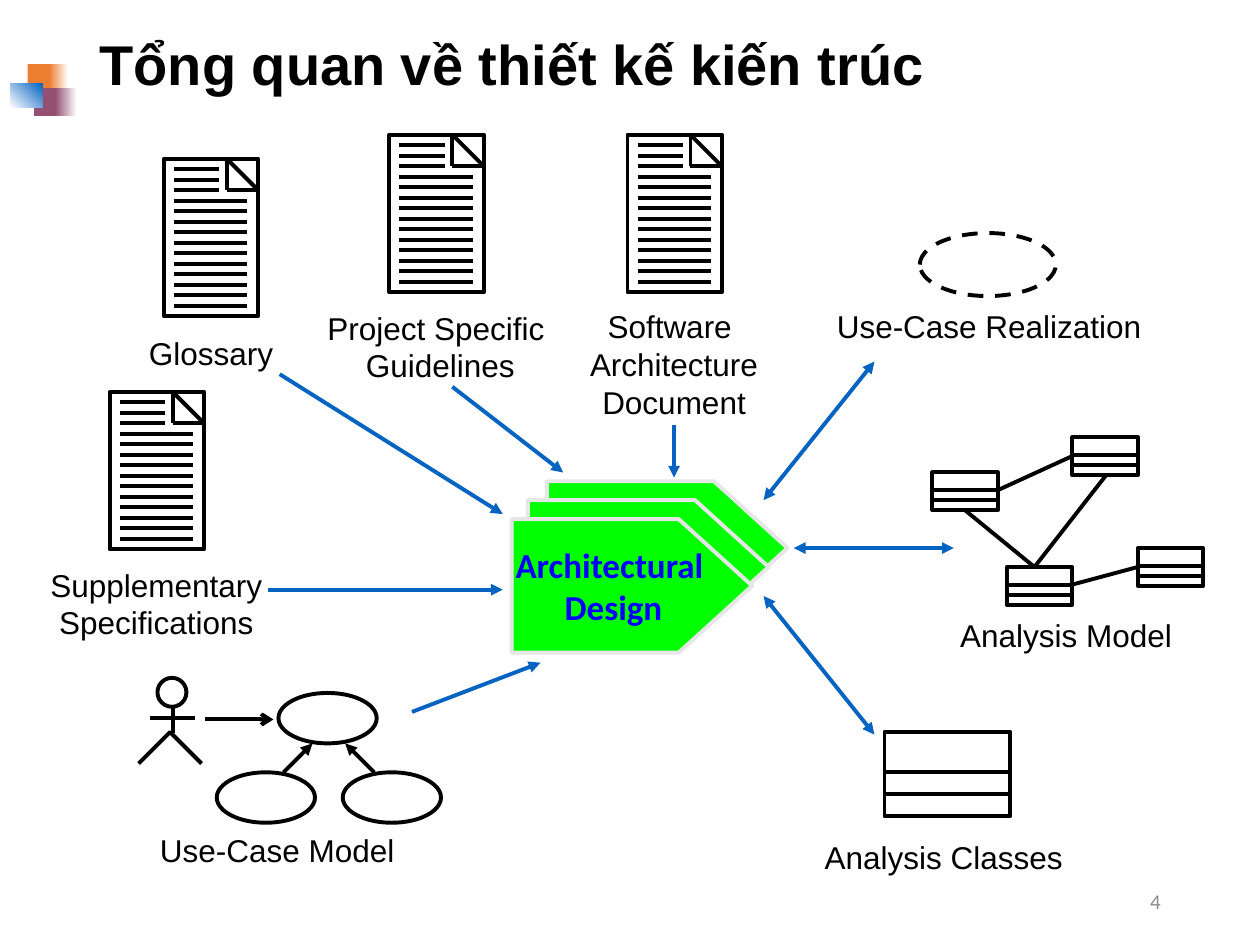
from lxml import etree
from pptx import Presentation
from pptx.dml.color import RGBColor
from pptx.enum import dml, shapes, text
from pptx.oxml.ns import qn
from pptx.util import Inches, Pt

THEME = {
    "black": "000000", "flow": "0563C1", "plate": "00FF00", "plate_edge": "E7E6E6",
    "plate_text": "0000FF", "muted": "8C8C8C", "white": "FFFFFF",
    "orange": "ED7D31", "plum": "954F72",
    "sans": "Arial", "body": "Calibri",
    "title": 32, "label": 18, "core": 20, "number": 12, "stroke": 2.25,
}
TITLE = "Tổng quan về thiết kế kiến trúc"
SLIDE_NUMBER = "4"
CORE = ["Architectural ", "Design"]

ORNAMENT = [
    (0.22, 0.51, 0.2, 0.22, ["orange"], 0),
    (0.39, 0.51, 0.15, 0.22, ["orange", "white"], 0),
    (0.27, 0.7, 0.19, 0.22, ["plum"], 0),
    (0.44, 0.7, 0.17, 0.22, ["plum", "white"], 0),
    (0.08, 0.66, 0.26, 0.19, ["white", "flow"], 45),
]
DOCUMENTS = [(0.87, 3.11), (1.3, 1.26), (3.09, 1.07), (4.98, 1.07)]
LABELS = [
    (["Supplementary", "Specifications"], 0.3, 4.44, 1.88, 0.7),
    (["Glossary"], 1.08, 2.6, 1.19, 0.4),
    (["Project Specific", " Guidelines"], 2.5, 2.4, 1.92, 0.7),
    (["Software ", "Architecture", "Document"], 4.55, 2.39, 1.6, 1),
    (["Use-Case Realization"], 6.54, 2.39, 2.62, 0.4),
    (["Analysis Model"], 7.52, 4.84, 1.88, 0.4),
    (["Use-Case Model"], 1.17, 6.55, 2.06, 0.4),
    (["Analysis Classes"], 6.44, 6.6, 2.1, 0.4),
]
PLATES = [(4.34, 3.82), (4.19, 3.97), (4.06, 4.12)]
MODEL_CLASSES = [(7.4, 3.75), (8.51, 3.47), (7.99, 4.5), (9.03, 4.35)]
MODEL_LINKS = [
    (8.21, 4.5, 7.66, 4.05), (7.92, 3.89, 8.51, 3.62),
    (8.51, 4.64, 9.03, 4.5), (8.21, 4.5, 8.78, 3.77),
]
USE_CASES = [(2.21, 5.5), (1.72, 6.13), (2.72, 6.13)]
USE_CASE_LINKS = [
    (1.63, 5.71, 2.17, 5.71, "arrow"),
    (2.25, 6.13, 2.48, 5.9, "triangle"),
    (2.97, 6.13, 2.74, 5.9, "triangle"),
]
INPUTS = [
    (5.35, 3.37, 5.35, 3.79), (3.59, 3.07, 4.47, 3.75), (2.22, 2.97, 3.99, 4.08),
    (2.13, 4.68, 3.99, 4.68), (3.27, 5.65, 4.29, 5.26),
]
EXCHANGES = [(6.06, 3.97, 6.94, 2.87), (6.3, 4.35, 7.57, 4.35), (6.06, 4.73, 6.94, 5.83)]

SHAPE = shapes.MSO_SHAPE
CENTER = text.PP_ALIGN.CENTER


def color(name):
    return RGBColor.from_string(THEME[name])


def outline(part, name):
    part.line.color.rgb = color(name)
    part.line.width = Pt(THEME["stroke"])


def draw(kind, x, y, w, h, fill=None, edge="black"):
    part = slide.shapes.add_shape(kind, *map(Inches, (x, y, w, h)))
    part.shadow.inherit = False
    if fill:
        part.fill.solid()
        part.fill.fore_color.rgb = color(fill)
    else:
        part.fill.background()
    if edge:
        outline(part, edge)
    else:
        part.line.fill.background()
    return part


def connect(x1, y1, x2, y2, name="black", head=None, tail=None):
    link = slide.shapes.add_connector(
        shapes.MSO_CONNECTOR.STRAIGHT, *map(Inches, (x1, y1, x2, y2)))
    outline(link, name)
    stroke = link.line._get_or_add_ln()
    for end, arrow in (("a:headEnd", head), ("a:tailEnd", tail)):
        if arrow:
            etree.SubElement(stroke, qn(end), type=arrow)
    etree.SubElement(link._element.spPr, qn("a:effectLst"))


def write(frame, lines, size, name, face, bold=False, align=CENTER):
    frame.text = "\n".join(lines)
    for paragraph in frame.paragraphs:
        paragraph.alignment = align
        paragraph.font.color.rgb = color(name)
        look = {"size": Pt(THEME[size]), "name": THEME[face], "bold": bold}
        for key, value in look.items():
            setattr(paragraph.font, key, value)


def label(lines, x, y, w, h):
    frame = slide.shapes.add_textbox(*map(Inches, (x, y, w, h))).text_frame
    frame.word_wrap = False
    frame.auto_size = text.MSO_AUTO_SIZE.SHAPE_TO_FIT_TEXT
    write(frame, lines, "label", "black", "sans")


def document(x, y, w=0.75, h=1.25, fold=0.25, margin=0.08):
    draw(SHAPE.RECTANGLE, x, y, w, h)
    left, right, bottom = x + w - fold, x + w, y + fold
    connect(left, y, right, bottom)
    connect(left, y, left, bottom)
    connect(right, bottom, left, bottom)
    for row in range(1, 15):
        level = y + row * h / 15
        connect(x + margin, level, x + (0.44 if row <= 3 else 0.66), level)


def class_box(x, y, w, h, dividers):
    draw(SHAPE.RECTANGLE, x, y, w, h)
    for offset in dividers:
        connect(x, y + offset, x + w, y + offset)


def actor(x, y):
    draw(SHAPE.OVAL, x - 0.12, y, 0.23, 0.23)
    connect(x, y + 0.23, x, y + 0.44)
    connect(x - 0.18, y + 0.32, x + 0.18, y + 0.32)
    foot, hip = y + 0.68, y + 0.43
    outlined = slide.shapes.build_freeform(Inches(x - 0.27), Inches(foot))
    outlined.add_line_segments(
        [(Inches(x - 0.02), Inches(hip)), (Inches(x + 0.23), Inches(foot))], close=False)
    legs = outlined.convert_to_shape()
    legs.shadow.inherit = False
    legs.fill.background()
    outline(legs, "black")


deck = Presentation()
deck.slide_width, deck.slide_height = Inches(10), Inches(7.5)
slide = deck.slides.add_slide(deck.slide_layouts[5])

for x, y, w, h, tones, angle in ORNAMENT:
    tile = draw(SHAPE.RECTANGLE, x, y, w, h, tones[0], None)
    if len(tones) > 1:
        tile.fill.gradient()
        tile.fill.gradient_angle = angle
        for stop, tone, position in zip(tile.fill.gradient_stops, tones, (0, 1)):
            stop.color.rgb = color(tone)
            stop.position = position

heading = slide.shapes.title
place = {"left": 0.69, "top": 0.13, "width": 8.62, "height": 0.81}
for key, value in place.items():
    setattr(heading, key, Inches(value))
write(heading.text_frame, [TITLE], "title", "black", "sans", True, text.PP_ALIGN.LEFT)
heading.text_frame.vertical_anchor = text.MSO_ANCHOR.MIDDLE
heading.text_frame.auto_size = text.MSO_AUTO_SIZE.NONE
heading.text_frame.paragraphs[0].line_spacing = 0.9

number = slide.shapes.add_textbox(*map(Inches, (7.06, 6.95, 2.25, 0.4))).text_frame
number.word_wrap = True
number.vertical_anchor = text.MSO_ANCHOR.MIDDLE
write(number, [SLIDE_NUMBER], "number", "muted", "body", align=text.PP_ALIGN.RIGHT)

for spot in DOCUMENTS:
    document(*spot)
for entry in LABELS:
    label(*entry)

for spot in PLATES:
    plate = draw(SHAPE.PENTAGON, *spot, 1.91, 1.06, "plate", "plate_edge")
    plate.adjustments[0] = 0.55
plate.text_frame.word_wrap = False
plate.text_frame.vertical_anchor = text.MSO_ANCHOR.MIDDLE
write(plate.text_frame, CORE, "core", "plate_text", "body", True)

realization = draw(SHAPE.OVAL, 7.3, 1.85, 1.08, 0.5)
realization.line.dash_style = dml.MSO_LINE.DASH

for spot in MODEL_CLASSES:
    class_box(*spot, 0.52, 0.3, (0.14, 0.22))
for ends in MODEL_LINKS:
    connect(*ends)
class_box(7.02, 5.81, 1, 0.67, (0.32, 0.49))

actor(1.37, 5.38)
for spot in USE_CASES:
    draw(SHAPE.OVAL, *spot, 0.78, 0.4)
for *ends, arrow in USE_CASE_LINKS:
    connect(*ends, tail=arrow)

for ends in INPUTS:
    connect(*ends, "flow", tail="triangle")
for ends in EXCHANGES:
    connect(*ends, "flow", head="triangle", tail="triangle")

deck.save("out.pptx")
